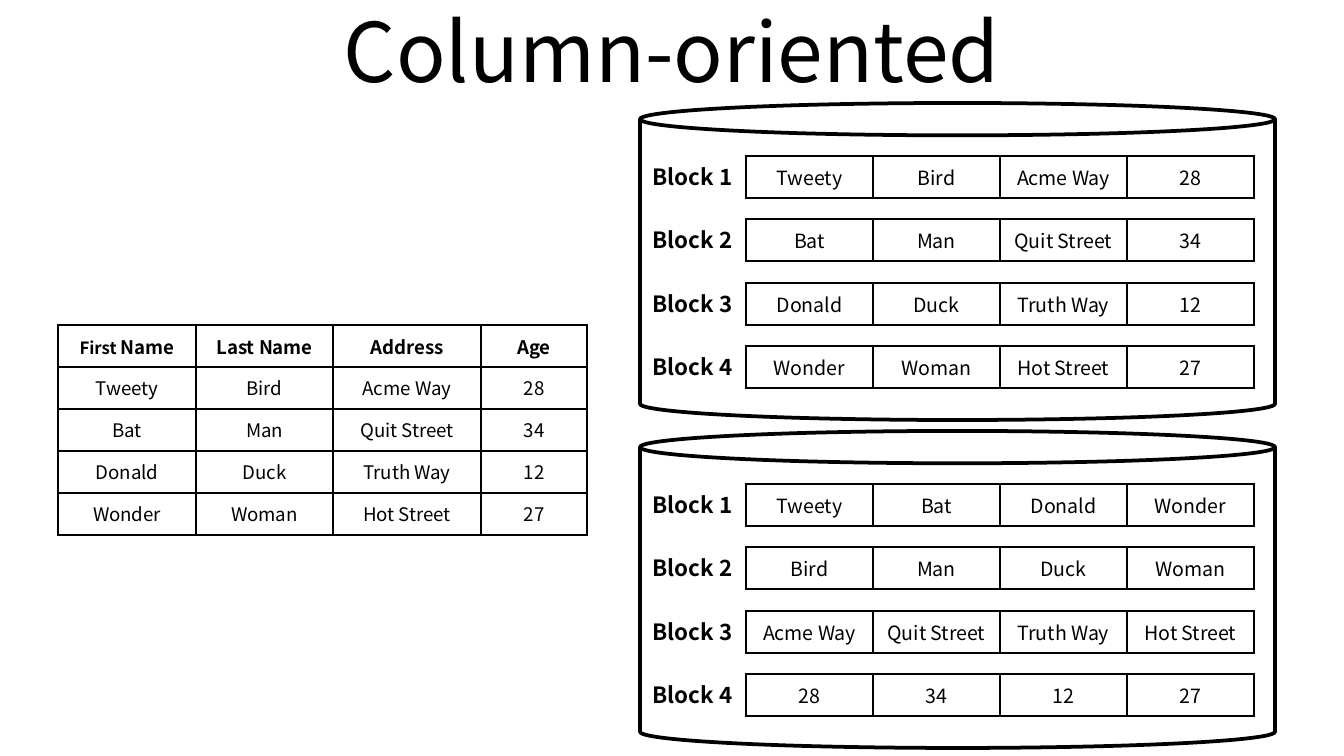
"""Build the slide that sets row blocks beside column blocks."""
from lxml import etree
from pptx import Presentation
from pptx.dml.color import RGBColor
from pptx.enum.shapes import MSO_SHAPE
from pptx.enum.text import MSO_ANCHOR, PP_ALIGN
from pptx.oxml.ns import qn
from pptx.util import Emu, Pt

CAN = MSO_SHAPE.CAN
MIDDLE = MSO_ANCHOR.MIDDLE
CENTER = PP_ALIGN.CENTER

TITLE = "Column-oriented"
HEADS = ["First Name", "Last Name", "Address", "Age"]
PEOPLE = [
    ("Tweety", "Bird", "Acme Way", "28"),
    ("Bat", "Man", "Quit Street", "34"),
    ("Donald", "Duck", "Truth Way", "12"),
    ("Wonder", "Woman", "Hot Street", "27"),
]
FIELDS = list(zip(*PEOPLE))
FONT = "Noto Sans CJK KR"
BLACK, WHITE = "000000", "FFFFFF"
SCALE = 914400 / 134.4
ROW = 42
WIDTHS = [138, 137, 148, 106]
LEFT, TOP = 58, 325
DISKS = [(103, PEOPLE), (431, FIELDS)]
PITCH = 63.4


def px(num):
    return Emu(round(num * SCALE))


def color(code):
    return RGBColor.from_string(code)


def style(para, size, bold):
    para.alignment = CENTER
    for run in para.runs:
        font = run.font
        font.name, font.size, font.bold = FONT, Pt(size), bold
        font.color.rgb = color(BLACK)


def label(text, box, size, bold=False):
    frame = slide.shapes.add_textbox(*map(px, box)).text_frame
    frame.word_wrap = True
    frame.vertical_anchor = MIDDLE
    frame.margin_top = frame.margin_bottom = 0
    frame.text = text
    style(frame.paragraphs[0], size, bold)


def border(cell):
    props = cell._tc.get_or_add_tcPr()
    for side in ("lnL", "lnR", "lnT", "lnB"):
        line = etree.SubElement(props, qn("a:" + side), w=str(Pt(1)))
        fill = etree.SubElement(line, qn("a:solidFill"))
        etree.SubElement(fill, qn("a:srgbClr"), val=BLACK)


def grid(rows, left, top, width, size, head=False):
    high = ROW * len(rows)
    table = slide.shapes.add_table(
        len(rows), len(rows[0]), px(left), px(top), px(width), px(high)).table
    table.first_row = table.horz_banding = False
    for r, row in enumerate(rows):
        table.rows[r].height = px(ROW)
        for c, text in enumerate(row):
            cell = table.cell(r, c)
            border(cell)
            cell.fill.background()
            cell.vertical_anchor = MIDDLE
            cell.margin_left = cell.margin_right = 0
            cell.margin_top = cell.margin_bottom = 0
            cell.text = text
            style(cell.text_frame.paragraphs[0], size, head and r == 0)
    return table


def disk(top, blocks):
    can = slide.shapes.add_shape(CAN, px(640), px(top), px(635), px(317))
    can.adjustments[0] = 0.102
    can.shadow.inherit = False
    can.fill.solid()
    can.fill.fore_color.rgb = color(WHITE)
    can.line.color.rgb = color(BLACK)
    can.line.width = Pt(2)
    for i, block in enumerate(blocks):
        y = top + 53 + round(i * PITCH)
        grid([block], 746, y, 508, 10.5)
        label(f"Block {i + 1}", (624, y, 137, ROW), 12, True)


deck = Presentation()
deck.slide_width, deck.slide_height = px(1344), px(756)
slide = deck.slides.add_slide(deck.slide_layouts[6])

label(TITLE, (67, -13, 1210, 126), 44)
for i, (name, field) in enumerate(zip(HEADS, FIELDS)):
    rows = [(text,) for text in (name, *field)]
    table = grid(rows, LEFT + sum(WIDTHS[:i]), TOP, WIDTHS[i], 10, True)
    if i == 0:
        para = table.cell(0, 0).text_frame.paragraphs[0]
        para.runs[0].text = "First"
        para.add_run().text = " Name"
        style(para, 10, True)
        para.runs[0].font.size = Pt(9)
for top, blocks in DISKS:
    disk(top, blocks)

deck.save("out.pptx")
